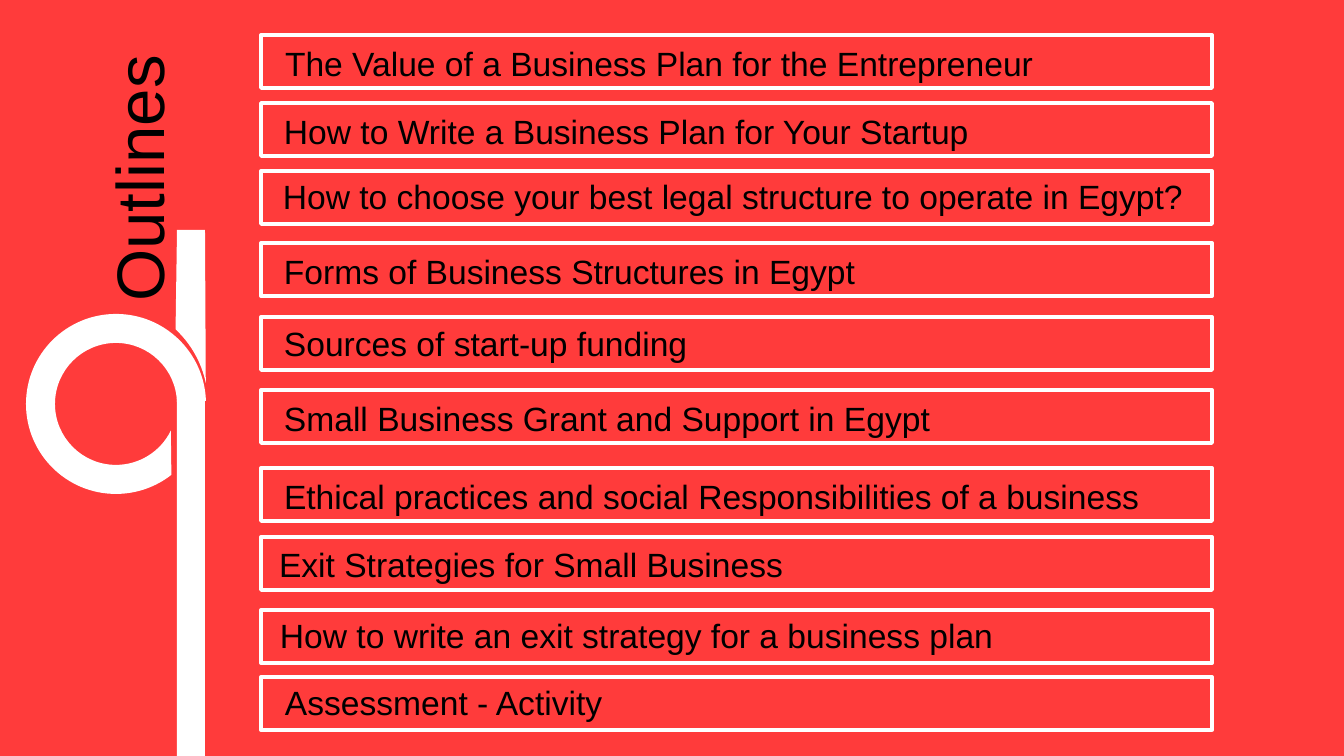
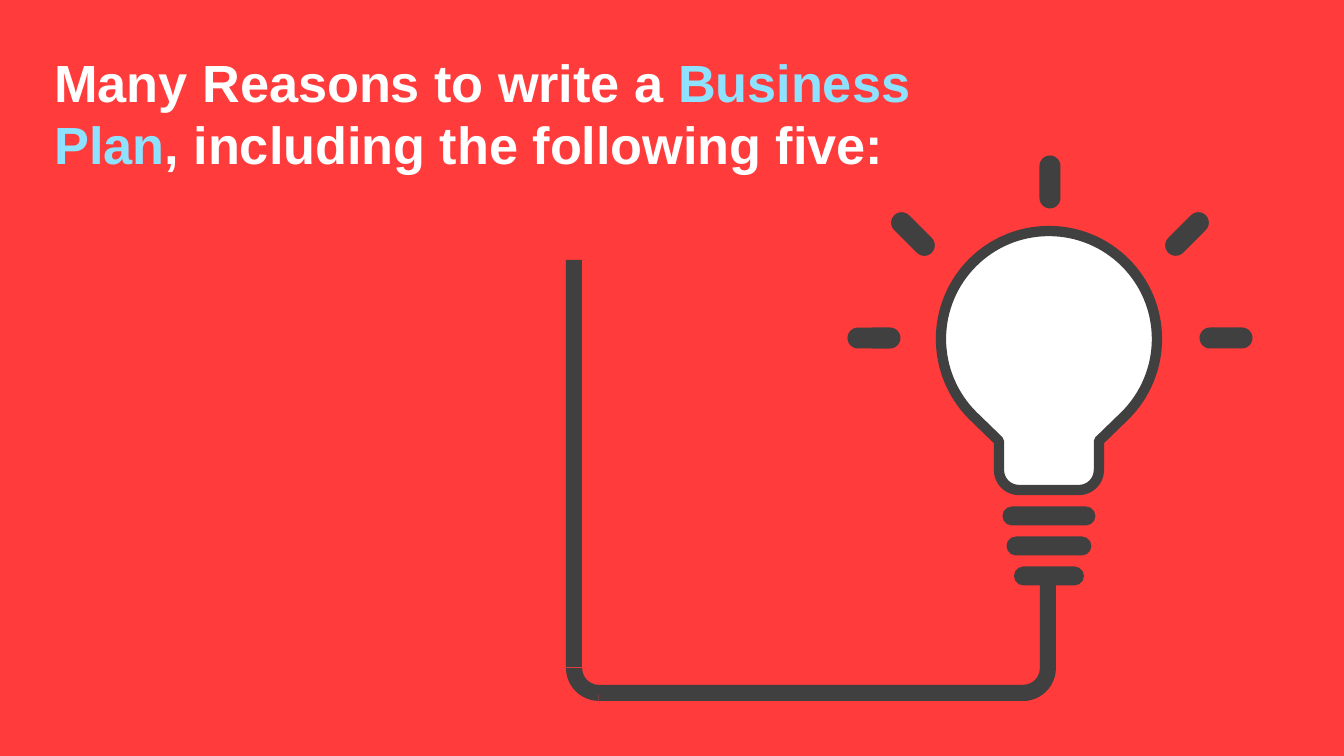
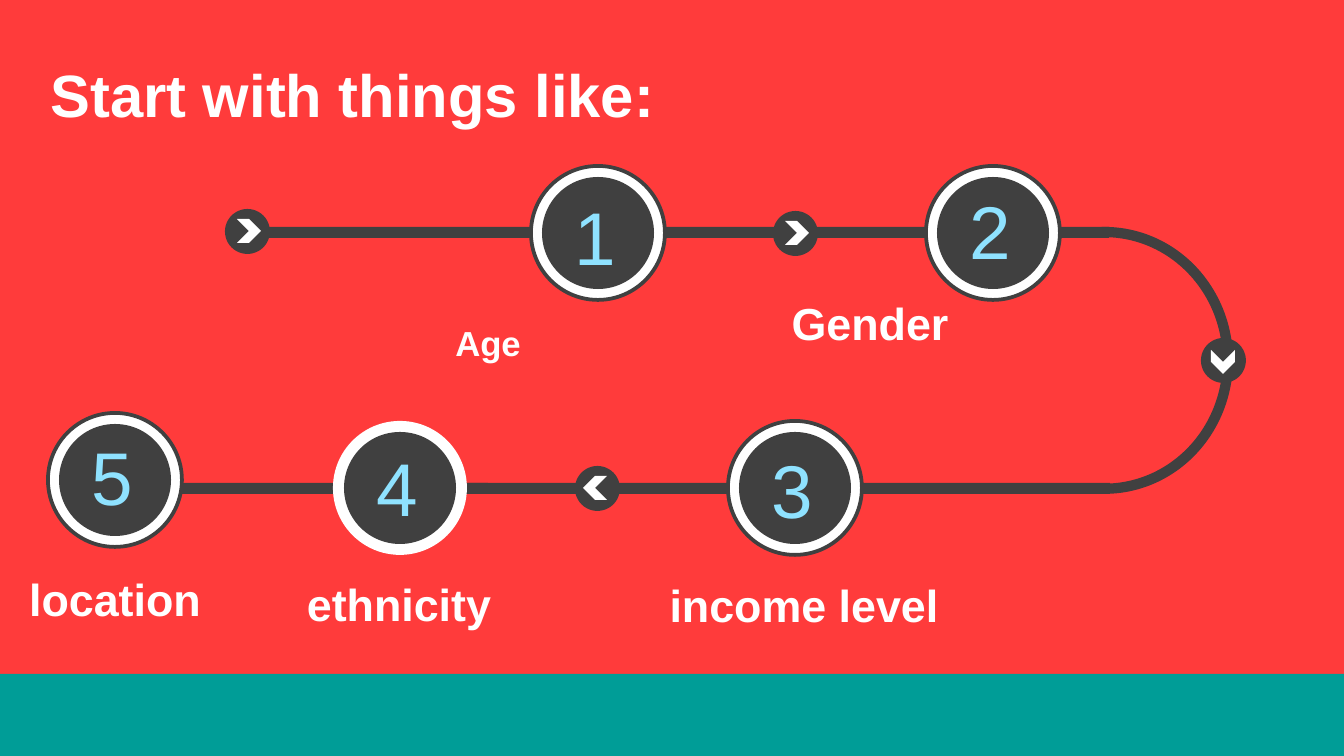
from math import cos, radians, sin, tan

from pptx import Presentation
from pptx.dml.color import RGBColor
from pptx.enum.shapes import MSO_SHAPE
from pptx.enum.text import MSO_ANCHOR, MSO_AUTO_SIZE, PP_ALIGN
from pptx.oxml.ns import qn
from pptx.util import Pt

PX = 914400 / 134.4
WIDTH, HEIGHT = 1344, 756

RED = RGBColor(0xFF, 0x3B, 0x3B)
WHITE = RGBColor(0xFF, 0xFF, 0xFF)
BLACK = RGBColor(0, 0, 0)
GREY = RGBColor(0x40, 0x40, 0x40)
SKY = RGBColor(0x8F, 0xE2, 0xFF)
TEAL = RGBColor(0x00, 0x9D, 0x97)

FRAME = {"vertical_anchor": MSO_ANCHOR.TOP, "word_wrap": True,
         "auto_size": MSO_AUTO_SIZE.NONE}
HEADING = {"size": Pt(36), "bold": False}
OUTLINE = {"size": Pt(18)}
LABEL = {"size": Pt(24), "bold": True}
DIGIT = {"size": Pt(40)}

TOPICS = [  # text, frame top, label left, label top, label width
    ("The Value of a Business Plan for the Entrepreneur", 35, 267, 31, 847),
    ("How to Write a Business Plan for Your Startup", 103, 266, 99, 741),
    ("How to choose your best legal structure to operate in Egypt?", 171, 267, 167, 1019),
    ("Forms of Business Structures in Egypt", 243, 266, 239, 741),
    ("Sources of start-up funding", 317, 266, 312, 741),
    ("Small Business Grant and Support in Egypt", 390, 266, 386, 741),
    ("Ethical practices and social Responsibilities of a business", 468, 266, 464, 925),
    ("Exit Strategies for Small Business", 537, 261, 532, 698),
    ("How to write an exit strategy for a business plan", 610, 262, 603, 857),
    ("Assessment - Activity", 677, 267, 671, 741),
]
NODES = [  # digit, left, top, rim width, digit drop
    ("1", 531, 166, 2, 18),
    ("2", 926, 166, 2, 12),
    ("4", 333, 421, 0, 14),
    ("3", 728, 421, 2, 16),
    ("5", 48, 413, 2, 11),
]
CAPTIONS = [  # text, centre, top
    ("Gender", 870, 289),
    ("income level", 804, 571),
    ("ethnicity", 399, 570),
    ("location", 115, 565),
]
ARROWS = [(225, 209, 0), (773, 211, 0), (575, 466, 180), (1201, 338, 90)]


def emu(*lengths):
    return [round(length * PX) for length in lengths]


def assign(target, values):
    for name, value in values.items():
        setattr(target, name, value)


def paint(shape, fill=None, line=None, width=0):
    shape.shadow.inherit = False
    if fill is None:
        shape.fill.background()
    else:
        shape.fill.solid()
        shape.fill.fore_color.rgb = fill
    if line is None or not width:
        shape.line.fill.background()
    else:
        shape.line.color.rgb = line
        shape.line.width = Pt(width)
    return shape


def add_figure(page, kind, box, fill=None, line=None, width=0, turn=0, adjust=()):
    shape = paint(page.shapes.add_shape(kind, *emu(*box)), fill, line, width)
    shape.rotation = turn
    for index, value in enumerate(adjust):
        shape.adjustments[index] = value
    return shape


def arc(x, y, radius, start, end):
    """Return a line to the start of an arc, then one curve for each quadrant."""
    inner = [angle for angle in range(-360, 721, 90)
             if min(start, end) < angle < max(start, end)]
    stops = [start] + sorted(inner, reverse=end < start) + [end]

    def point(angle, pull=0):
        a = radians(angle)
        return (x + radius * (cos(a) - pull * sin(a)), y + radius * (sin(a) + pull * cos(a)))

    segments = [[point(start)]]
    for first, last in zip(stops, stops[1:]):
        pull = 4 / 3 * tan(radians(last - first) / 4)
        segments.append([point(first, pull), point(last, -pull), point(last)])
    return segments


def add_outline(page, segments, **style):
    """Draw lines (one point) and curves (two handles and an end point)."""
    points = [emu(*point) for segment in segments for point in segment]
    builder = page.shapes.build_freeform(*points[0], scale=1.0)
    builder.add_line_segments(points[1:], close=True)
    shape = builder.convert_to_shape()
    outline = shape._element.find(".//" + qn("a:path"))
    lines = iter(outline.findall(qn("a:lnTo")))
    for segment in segments[1:]:
        group = [next(lines) for _ in segment]
        if len(group) == 3:
            curve = outline.makeelement(qn("a:cubicBezTo"))
            group[0].addprevious(curve)
            for line in group:
                curve.append(line[0])
                outline.remove(line)
    return paint(shape, **style)


def write(shape, spans, style, align=PP_ALIGN.LEFT, **frame):
    """Fill a shape with one paragraph of (text, colour) spans."""
    assign(shape.text_frame, {**FRAME, **frame})
    para = shape.text_frame.paragraphs[0]
    para.alignment = align
    for text, colour in spans:
        span = para.add_run()
        span.text = text
        assign(span.font, {"name": "Arial", **style})
        span.font.color.rgb = colour
    return para


def add_text(page, box, text, style, colour, align=PP_ALIGN.LEFT):
    return write(page.shapes.add_textbox(*emu(*box)), [(text, colour)], style, align)


def add_page(deck, box, spans, style, turn=0, **options):
    page = deck.slides.add_slide(deck.slide_layouts[5])
    title = page.shapes.title
    assign(title, dict(zip(("left", "top", "width", "height"), emu(*box))))
    title.rotation = turn
    write(title, spans, style, **options)
    return page


# Outline page
def add_ring_mark(page, left, top):
    x, y = left + 90, top + 174
    ring = arc(x, y, 90, 52, 358) + arc(x, y, 61, 358, 26)
    add_outline(page, ring, fill=WHITE)
    tip = [[(left + 151, top)], [(left + 179, top)]] + arc(x - 10, y, 102, -12, -47)
    add_outline(page, tip, fill=WHITE)
    add_figure(page, MSO_SHAPE.RECTANGLE,
               (left + 151, top + 168, 28, HEIGHT - top - 168), WHITE)


def add_topic(page, text, top, label_left, label_top, label_width):
    add_figure(page, MSO_SHAPE.RECTANGLE, (261, top, 951, 53), line=WHITE, width=2)
    height = 56 if label_width > 1000 else 99
    label = add_figure(page, MSO_SHAPE.ROUND_2_SAME_RECTANGLE,
                       (label_left, label_top, label_width, height))
    write(label, [(text, BLACK)], OUTLINE)


def build_outline(deck):
    page = add_page(deck, (-26, 136, 328, 85), [("Outlines", BLACK)], HEADING, 270,
                    align=PP_ALIGN.CENTER, vertical_anchor=MSO_ANCHOR.MIDDLE)
    add_ring_mark(page, 26, 230)
    for topic in TOPICS:
        add_topic(page, *topic)


# Light bulb page
def add_cable(page, left, top):
    bend = (54.318, 108.171, 0.243)
    for x, y, width, height in ((0, 0, 16, 407), (33, 425, 429, 16), (474, 325, 16, 84)):
        add_figure(page, MSO_SHAPE.RECTANGLE, (left + x, top + y, width, height), GREY)
    for x, turn in ((0, 0), (424, 270)):
        add_figure(page, MSO_SHAPE.BLOCK_ARC, (left + x, top + 375, 66, 66), GREY,
                   turn=turn, adjust=bend)


def add_pill(page, x, y, width, height, turn=0):
    add_figure(page, MSO_SHAPE.ROUNDED_RECTANGLE,
               (x - width / 2, y - height / 2, width, height), GREY,
               turn=turn, adjust=[0.5])


def add_bulb(page, x, y):
    glass = (arc(x, y, 108, 135, 405)
             + [[(x + 50, y + 102)]] + arc(x + 30, y + 131, 20, 0, 90)
             + arc(x - 30, y + 131, 20, 90, 180) + [[(x - 50, y + 102)]])
    add_outline(page, glass, fill=WHITE, line=GREY, width=5.5)
    for row, width in enumerate((93, 85, 70)):
        add_pill(page, x, y + 177 + 30 * row, width, 19)
    rays = ((-175, -1, 270), (-136, -105, 315), (1, -157, 0), (138, -105, 45), (177, -1, 90))
    for across, down, turn in rays:
        add_pill(page, x + across, y + down, 21, 53, turn)


def build_reasons(deck):
    spans = [("Many Reasons to write a ", WHITE), ("Business Plan", SKY),
             (", including the following five:", WHITE)]
    page = add_page(deck, (41, 43, 895, 140), spans, {"size": Pt(28), "bold": True})
    add_cable(page, 566, 260)
    add_bulb(page, 1049, 339)


# Numbered path page
def add_track(page):
    add_figure(page, MSO_SHAPE.BLOCK_ARC, (976, 227, 257, 267), GREY,
               adjust=(161.274, 54.902, 0.04))
    for left, top, width in ((153, 483, 335), (238, 227, 871), (387, 483, 723)):
        add_figure(page, MSO_SHAPE.RECTANGLE, (left, top, width, 11), GREY)


def add_node(page, digit, left, top, rim, drop):
    add_figure(page, MSO_SHAPE.OVAL, (left, top, 134, 134), WHITE, GREY, rim)
    add_figure(page, MSO_SHAPE.OVAL, (left + 11, top + 11, 112, 112), GREY)
    add_text(page, (left + 30, top + drop, 64, 103), digit, DIGIT, SKY)


def add_arrow(page, left, top, turn):
    add_figure(page, MSO_SHAPE.OVAL, (left, top, 45, 45), GREY)
    across, down = 10 + 2 * cos(radians(turn)), 10 + 2 * sin(radians(turn))
    add_figure(page, MSO_SHAPE.CHEVRON, (left + across, top + down, 24, 24), WHITE, turn=turn)


def add_caption(page, text, centre, top, style=LABEL):
    width = min(368, 2 * centre)
    return add_text(page, (centre - width / 2, top, width, 67), text, style, WHITE,
                    PP_ALIGN.CENTER)


def build_path(deck):
    large = {"size": Pt(32), "bold": True}
    page = add_page(deck, (37, 51, 1307, 42), [("Start with things like:", WHITE)], large)
    add_track(page)
    for node in NODES:
        add_node(page, *node)
    for arrow in ARROWS:
        add_arrow(page, *arrow)
    for caption in CAPTIONS:
        add_caption(page, *caption)
    # Lowered caption
    para = add_caption(page, "Age", 488, 275, large)
    para.runs[0]._r.get_or_add_rPr().set("baseline", "-25000")
    # Bottom band
    add_figure(page, MSO_SHAPE.RECTANGLE, (0, 674, WIDTH, HEIGHT - 674), TEAL)


def main():
    deck = Presentation()
    deck.slide_width, deck.slide_height = emu(WIDTH, HEIGHT)
    background = deck.slide_master.background.fill
    background.solid()
    background.fore_color.rgb = RED
    for build in (build_outline, build_reasons, build_path):
        build(deck)
    deck.save("out.pptx")


if __name__ == "__main__":
    main()
